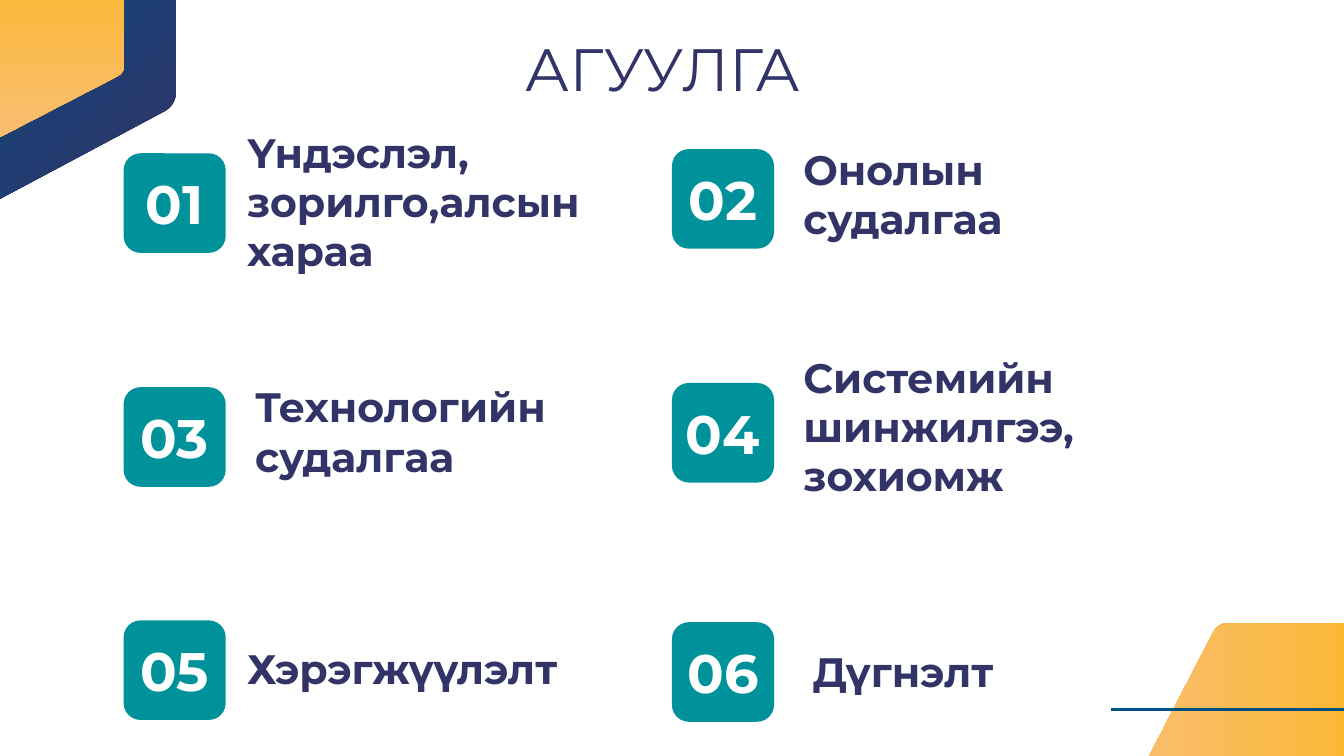
"""Build the contents slide on a grid of 100 columns by 100 rows."""
import copy
from dataclasses import dataclass

import pptx
import pptx.dml.color
import pptx.enum.shapes
import pptx.enum.text
import pptx.oxml
import pptx.util


@dataclass(frozen=True)
class Theme:
    """Hold the colours, font and type sizes."""
    font: str = "Montserrat"
    navy: str = "323366"
    teal: str = "00929B"
    blue: str = "004F83"
    white: str = "FFFFFF"
    gold: tuple = ((0, "FAB403"), (0.34, "FAB93C"), (1, "FABE75"))
    deep: tuple = ((0, "323366"), (0.63, "194175"), (1, "004F83"))
    head: int = 32
    digit: int = 29
    label: int = 22
    rule: float = 1.5


THEME = Theme()
WIDE = pptx.util.Inches(10)
HIGH = WIDE * 9 // 16
ALIGN = pptx.enum.text.PP_ALIGN
ANCHOR = pptx.enum.text.MSO_ANCHOR

BADGE_COLS = (9.2, 50)
BADGE_WIDE, BADGE_HIGH = 7.6, 13.17
TEXT_HIGH = 10.32

TOPICS = (
    ("Үндэслэл, зорилго,алсын хараа", 20.28, (17.4, 21.47, 26.9)),
    ("Онолын судалгаа", 19.73, (58.8, 20.44, 30)),
    ("Технологийн судалгаа", 51.23, (18, 51.87, 25.5)),
    ("Системийн шинжилгээ, зохиомж", 50.67, (58.8, 51.2, 37.4)),
    ("Хэрэгжүүлэлт", 82.07, (17.4, 83.2, 28.6)),
    ("Дүгнэлт", 82.31, (59.5, 83.56, 37.4)),
)


def col(share):
    """Turn columns into a length."""
    return round(WIDE * share / 100)


def row(share):
    """Turn rows into a length."""
    return round(HIGH * share / 100)


def tint(code):
    """Turn a hex code into a colour."""
    return pptx.dml.color.RGBColor.from_string(code)


def bend(start, corner, end, steps=8):
    """List points that round a corner."""
    curve = []
    for step in range(steps + 1):
        t = step / steps
        curve.append(tuple(
            (1 - t) ** 2 * a + 2 * t * (1 - t) * b + t * t * c
            for a, b, c in zip(start, corner, end)))
    return curve


def blend(shape, stops, angle):
    """Fill a shape with a gradient of three stops."""
    fill = shape.fill
    fill.gradient()
    fill.gradient_angle = angle
    marks = shape.element.xpath(".//a:gsLst")[0]
    marks.append(copy.deepcopy(marks[-1]))
    for mark, (place, code) in zip(fill.gradient_stops, stops):
        mark.position = place
        mark.color.rgb = tint(code)


def add_panel(slide, points, stops, angle):
    """Draw a corner panel."""
    spots = [(col(x), row(y)) for x, y in points]
    maker = slide.shapes.build_freeform(*spots[0])
    maker.add_line_segments(spots[1:], close=True)
    panel = maker.convert_to_shape()
    panel.shadow.inherit = False
    panel.line.fill.background()
    blend(panel, stops, angle)


def add_rule(slide, left, right, top):
    """Draw a level line."""
    rule = slide.shapes.add_connector(
        pptx.enum.shapes.MSO_CONNECTOR.STRAIGHT,
        col(left), row(top), col(right), row(top))
    rule.line.color.rgb = tint(THEME.blue)
    rule.line.width = pptx.util.Pt(THEME.rule)
    props = rule.element.xpath("./p:spPr")[0]
    props.append(pptx.oxml.parse_xml(
        '<a:effectLst xmlns:a='
        '"http://schemas.openxmlformats.org/drawingml/2006/main"/>'))


def add_text(slide, box, words, size, code, bold=True,
             align=ALIGN.LEFT, anchor=ANCHOR.MIDDLE):
    """Place one run of text in a box."""
    left, top, wide, high = box
    shape = slide.shapes.add_textbox(col(left), row(top), col(wide), row(high))
    frame = shape.text_frame
    frame.word_wrap = True
    frame.vertical_anchor = anchor
    for side in ("left", "top", "right", "bottom"):
        setattr(frame, f"margin_{side}", pptx.util.Inches(0.1))
    para = frame.paragraphs[0]
    para.alignment = align
    run = para.add_run()
    run.text = words
    run.font.name = THEME.font
    run.font.size = pptx.util.Pt(size)
    run.font.bold = bold
    run.font.color.rgb = tint(code)


def add_badge(slide, left, top, digits):
    """Draw a rounded badge with its number."""
    badge = slide.shapes.add_shape(
        pptx.enum.shapes.MSO_SHAPE.ROUNDED_RECTANGLE,
        col(left), row(top), col(BADGE_WIDE), row(BADGE_HIGH))
    badge.adjustments[0] = 0.17
    badge.shadow.inherit = False
    badge.fill.solid()
    badge.fill.fore_color.rgb = tint(THEME.teal)
    badge.line.fill.background()
    inset = (BADGE_HIGH - TEXT_HIGH) / 2
    add_text(slide, (left, top + inset, BADGE_WIDE, TEXT_HIGH), digits,
             THEME.digit, THEME.white, align=ALIGN.CENTER)


def add_decor(slide):
    """Draw the corner panels and the line."""
    add_panel(slide, [(106.2, 107.56), (106.2, 82.4),
                      *bend((91.4, 82.4), (90.6, 82.4), (90.2, 83.91)),
                      (83.3, 107.56)], THEME.gold, 180)
    add_panel(slide, [(13.1, -9.24), (-0.2, -9.24), (-0.2, 26.49),
                      *bend((12.2, 14.76), (13.1, 13.9), (13.1, 12.1))],
              THEME.deep, 135)
    add_panel(slide, [(-0.2, -9.07), (9.25, -9.07),
                      *bend((9.25, 8.53), (9.25, 9.6), (8.7, 10.13)),
                      (-0.2, 18.31)], THEME.gold, 270)
    add_rule(slide, 82.7, 100, 93.87)


def main():
    """Build and save the slide."""
    deck = pptx.Presentation()
    deck.slide_width, deck.slide_height = WIDE, HIGH
    slide = deck.slides.add_slide(deck.slide_layouts[6])
    add_decor(slide)
    add_text(slide, (7.1, 2.4, 84.4, 11.2), "АГУУЛГА", THEME.head,
             THEME.navy, bold=False, align=ALIGN.CENTER, anchor=ANCHOR.TOP)
    for index, (words, top, (left, level, wide)) in enumerate(TOPICS):
        add_badge(slide, BADGE_COLS[index % 2], top, f"{index + 1:02}")
        add_text(slide, (left, level, wide, TEXT_HIGH), words,
                 THEME.label, THEME.navy)
    deck.save("out.pptx")


if __name__ == "__main__":
    main()
